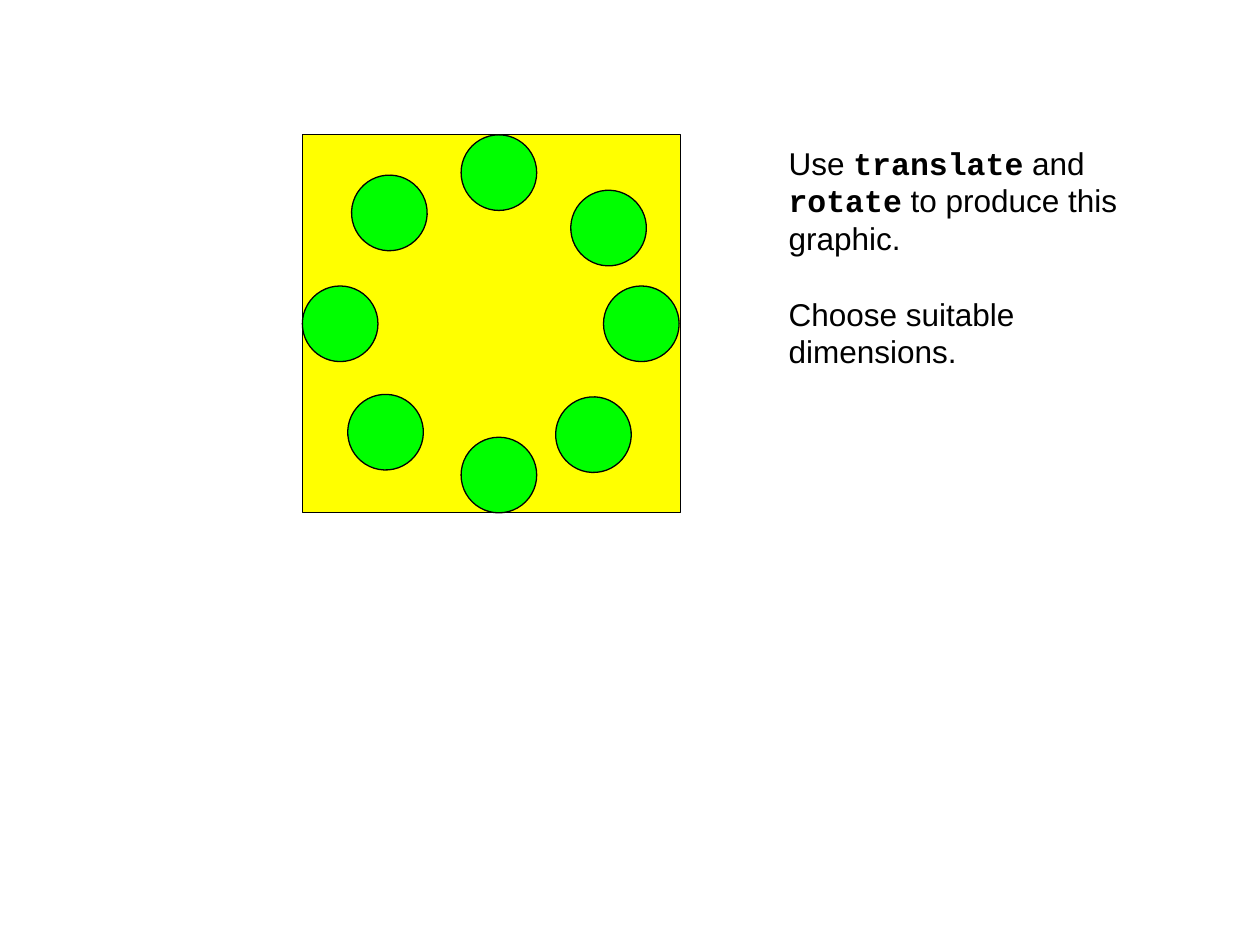
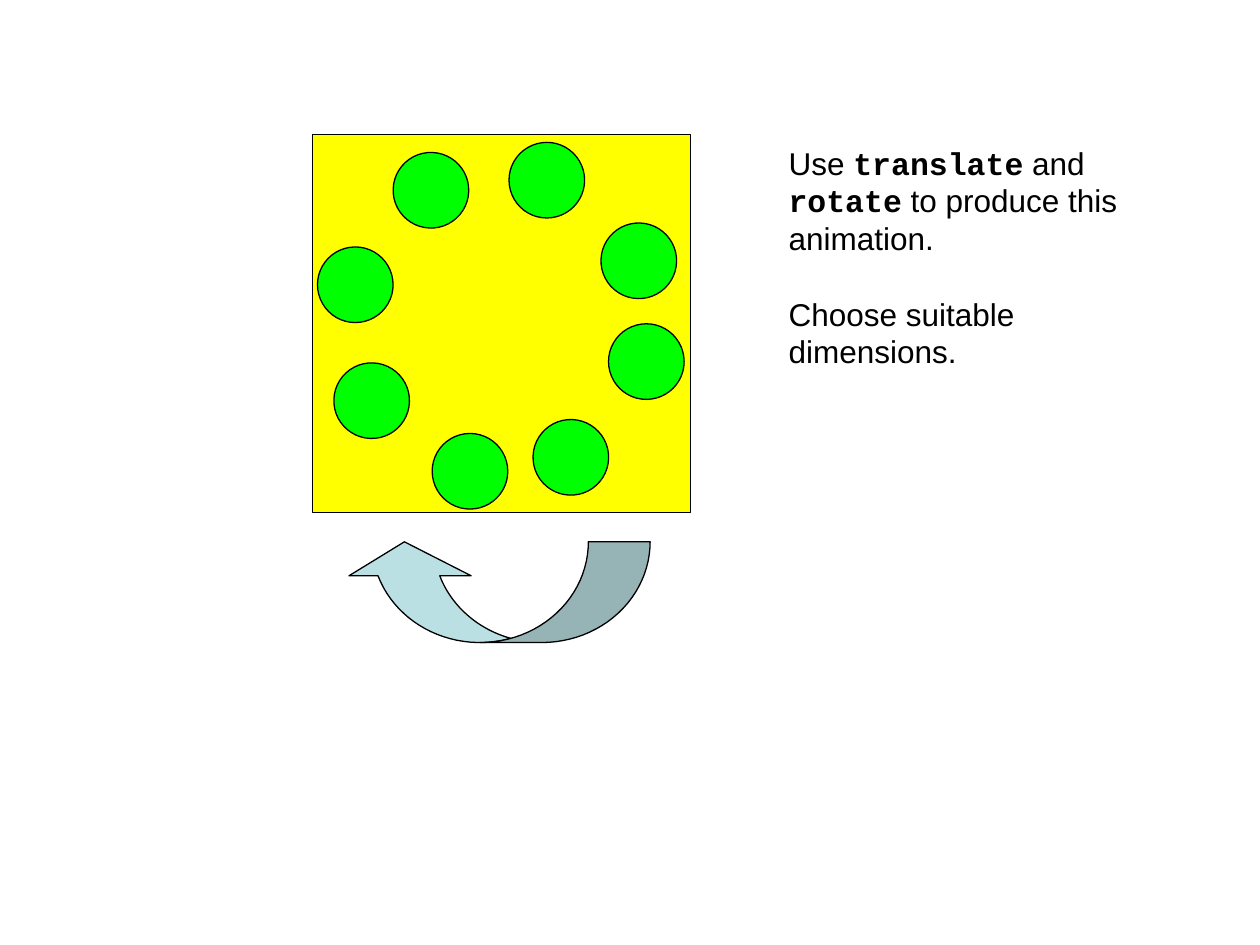
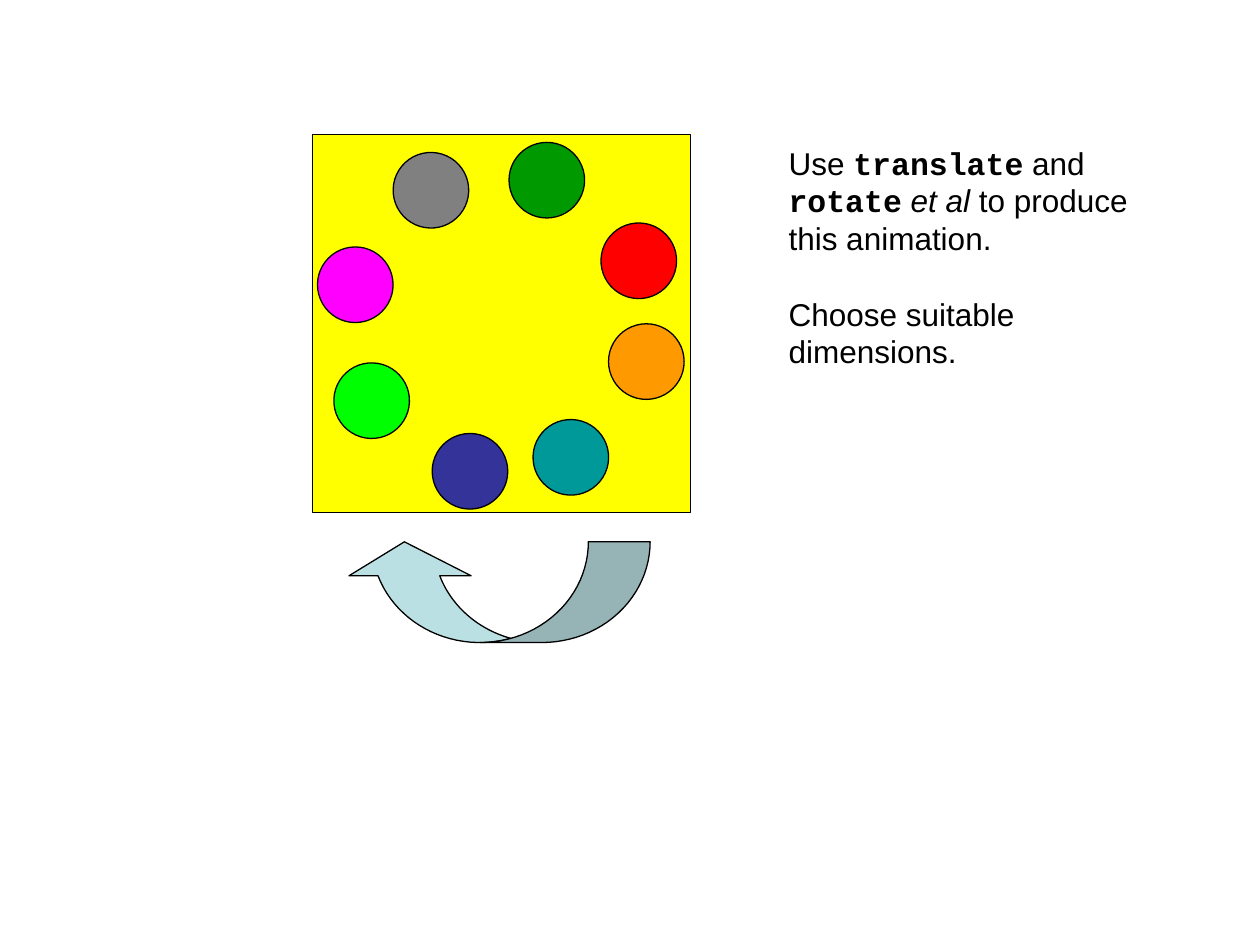
import math

from pptx import Presentation
from pptx import util as u
from pptx.dml.color import RGBColor
from pptx.enum import shapes, text

BLACK = RGBColor(0x00, 0x00, 0x00)
YELLOW = RGBColor(0xFF, 0xFF, 0x00)
LIME = RGBColor(0x00, 0xFF, 0x00)
ORANGE = RGBColor(0xFF, 0x99, 0x00)
MAGENTA = RGBColor(0xFF, 0x00, 0xFF)
GREEN = RGBColor(0x00, 0x99, 0x00)
INDIGO = RGBColor(0x33, 0x33, 0x99)
TEAL = RGBColor(0x00, 0x99, 0x99)
GRAY = RGBColor(0x80, 0x80, 0x80)
RED = RGBColor(0xFF, 0x00, 0x00)
PALE_BLUE = RGBColor(0xBB, 0xE0, 0xE3)
SHADED_BLUE = RGBColor(0x96, 0xB3, 0xB6)

# Top left corners of the circles, as opposite pairs
STILL_RING = [(4.79, 2.27), (2.4, 2.27), (3.66, 1.07), (3.66, 3.47),
              (4.41, 3.15), (2.79, 1.39), (4.53, 1.51), (2.76, 3.13)]
TURNED_RING = [(4.83, 2.57), (2.52, 1.96), (4.04, 1.13), (3.43, 3.44),
               (4.23, 3.33), (3.12, 1.21), (4.77, 1.77), (2.65, 2.88)]
PAIR_ANGLES = [0, 270, 47.5, 317.5]
RING_COLORS = [ORANGE, MAGENTA, GREEN, INDIGO, TEAL, GRAY, RED, LIME]


def add_run(p, content, font="Arial", size=18, bold=False, italic=False):
    r = p.add_run()
    r.text = content
    r.font.name, r.font.size = font, u.Pt(size)
    r.font.bold, r.font.italic = bold, italic
    r.font.color.rgb = BLACK


def arc(cx, cy, rx, ry, start, end, steps=24):
    """Points on an ellipse; angles in degrees, clockwise from the right."""
    angles = [math.radians(start + (end - start) * i / steps)
              for i in range(steps + 1)]
    return [(cx + rx * math.cos(a), cy + ry * math.sin(a)) for a in angles]


class Deck:
    def __init__(self):
        self.prs = Presentation()
        self.prs.slide_width, self.prs.slide_height = u.Inches(10), u.Inches(7.5)
        self.s = None

    def new_slide(self):
        self.s = self.prs.slides.add_slide(self.prs.slide_layouts[6])

    def style(self, sp, fill):
        sp.shadow.inherit = False
        sp.fill.solid()
        sp.fill.fore_color.rgb = fill
        sp.line.color.rgb = BLACK
        sp.line.width = u.Pt(0.75)

    def shape(self, kind, left, top, size, fill, rotation=0):
        sp = self.s.shapes.add_shape(kind, u.Inches(left), u.Inches(top),
                                     u.Inches(size), u.Inches(size))
        sp.rotation = rotation
        self.style(sp, fill)

    def outline(self, points, fill):
        start, *rest = [(u.Inches(x), u.Inches(y)) for x, y in points]
        fb = self.s.shapes.build_freeform(*start)
        fb.add_line_segments(rest, close=True)
        self.style(fb.convert_to_shape(), fill)

    def ring(self, left, corners, colors, turn=0):
        self.shape(shapes.MSO_SHAPE.RECTANGLE, left, 1.07, 3, YELLOW)
        for i, ((x, y), color) in enumerate(zip(corners, colors)):
            angle = (PAIR_ANGLES[i // 2] + turn) % 360
            self.shape(shapes.MSO_SHAPE.OVAL, x, y, 0.6, color, angle)

    def turning_arrow(self):
        top, head_base, rx, ry = 4.3, 4.57, 0.86, 0.8
        left_cx, right_cx = 3.81, 4.3
        # Angles where the band meets the head and where its edges cross
        head = math.degrees(math.asin((head_base - top) / ry))
        cross = math.degrees(math.acos((right_cx - left_cx) / 2 / rx))
        band = (arc(left_cx, top, rx, ry, 180 - head, cross)
                + arc(right_cx, top, rx, ry, 180 - cross, 180 - head))
        self.outline([(3.21, top), (2.77, head_base), *band,
                      (3.74, head_base)], PALE_BLUE)
        tail = (arc(right_cx, top, rx, ry, 0, 90)
                + arc(left_cx, top, rx, ry, 90, 0))
        self.outline(tail, SHADED_BLUE)

    def task(self, *runs):
        tb = self.s.shapes.add_textbox(u.Inches(6.16), u.Inches(1.09),
                                       u.Inches(3.01), u.Inches(1.9))
        tf = tb.text_frame
        tf.word_wrap = True
        tf.auto_size = text.MSO_AUTO_SIZE.SHAPE_TO_FIT_TEXT
        code = {"font": "Courier New", "bold": True}
        p = tf.paragraphs[0]
        add_run(p, "Use ")
        add_run(p, "translate", **code)
        add_run(p, " and ")
        add_run(p, "rotate", **code)
        for content, fmt in runs:
            add_run(p, content, **fmt)
        p = tf.add_paragraph()
        p.space_before = u.Pt(21.5)
        add_run(p, "Choose suitable dimensions.")


def main():
    deck = Deck()

    # Still graphic
    deck.new_slide()
    deck.ring(2.4, STILL_RING, [LIME] * 8)
    deck.task((" to produce this graphic.", {}))

    # Animation in one colour
    deck.new_slide()
    deck.ring(2.48, TURNED_RING, [LIME] * 8, turn=14.8)
    deck.turning_arrow()
    deck.task((" to produce this animation.", {}))

    # Animation in many colours
    deck.new_slide()
    deck.ring(2.48, TURNED_RING, RING_COLORS, turn=14.8)
    deck.turning_arrow()
    deck.task((" et al", {"italic": True}),
              (" to produce this animation.", {}))

    deck.prs.save("out.pptx")


if __name__ == "__main__":
    main()
